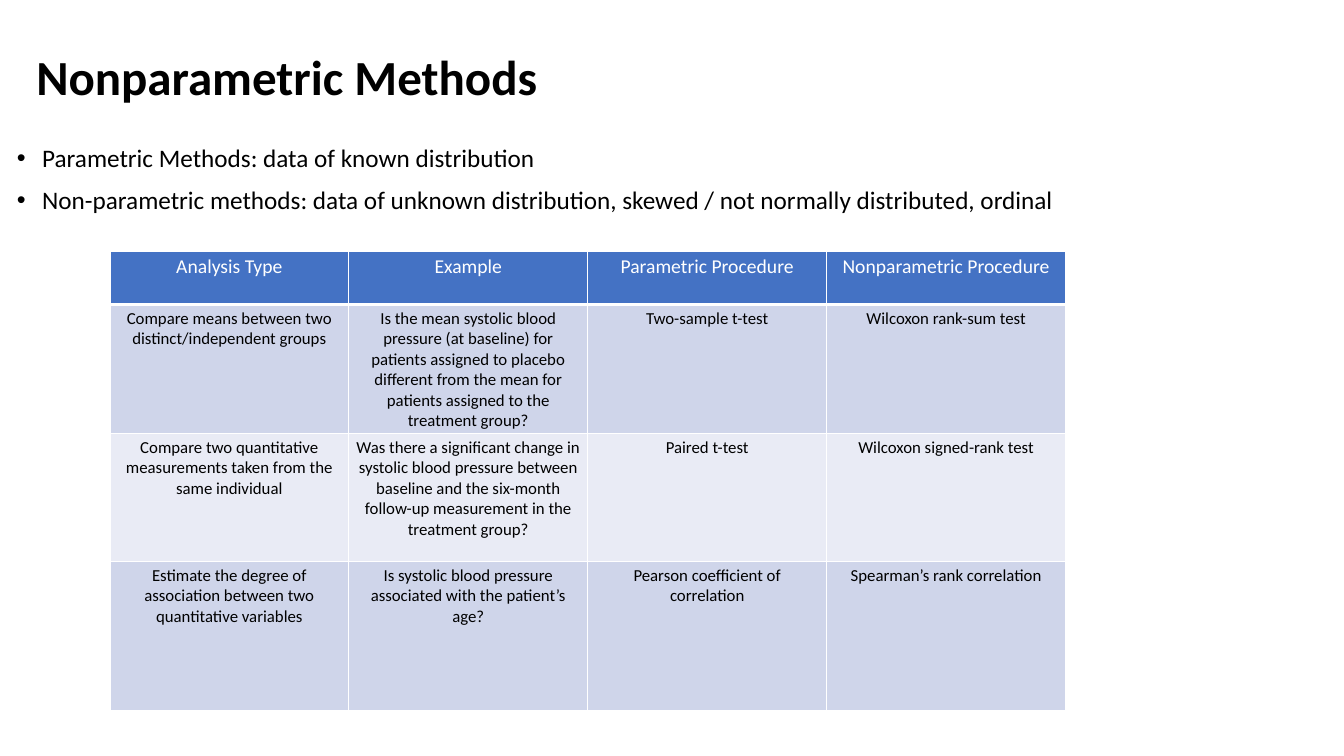
from dataclasses import dataclass

from lxml.etree import SubElement
from pptx import Presentation
from pptx.dml.color import RGBColor
from pptx.enum.text import MSO_ANCHOR, MSO_AUTO_SIZE, PP_ALIGN
from pptx.oxml.ns import qn
from pptx.util import Emu, Pt

PX = 9144  # EMU per px, 100 px to the inch
FONT = "Calibri"
COLORS = {
    "black": "000000",
    "white": "FFFFFF",
    "header": "4472C4",
    "band_dark": "CFD5EA",
    "band_light": "E9EBF5",
}


@dataclass(frozen=True)
class Row:
    height: int
    fill: str
    texts: tuple[str, str, str, str]
    size: int = 12
    color: str = "black"
    bottom_line: int = 1


TITLE = "Nonparametric Methods"
BULLETS = (
    "Parametric Methods: data of known distribution",
    "Non-parametric methods: data of unknown distribution, skewed / not normally distributed, ordinal",
)
COLUMN_WIDTH = 237
ROWS = (
    Row(53, "header",
        ("Analysis Type", "Example", "Parametric Procedure", "Nonparametric Procedure"),
        size=14, color="white", bottom_line=3),
    Row(127, "band_dark",
        ("Compare means between two distinct/independent groups",
         "Is the mean systolic blood pressure (at baseline) for patients assigned to placebo "
         "different from the mean for patients assigned to the treatment group?",
         "Two-sample t-test",
         "Wilcoxon rank-sum test")),
    Row(127, "band_light",
        ("Compare two quantitative measurements taken from the same individual",
         "Was there a significant change in systolic blood pressure between baseline and the "
         "six-month follow-up measurement in the treatment group?",
         "Paired t-test",
         "Wilcoxon signed-rank test")),
    Row(148, "band_dark",
        ("Estimate the degree of association between two quantitative variables",
         "Is systolic blood pressure associated with the patient’s age?",
         "Pearson coefficient of correlation",
         "Spearman’s rank correlation")),
)


def px(n: int) -> Emu:
    return Emu(n * PX)


def rgb(name: str) -> RGBColor:
    return RGBColor.from_string(COLORS[name])


def write(p, text: str, *, size: int, color: str = "black", bold: bool = False,
          align=PP_ALIGN.LEFT, line_spacing: float = 1.0, before: int = 0) -> None:
    p.alignment = align
    p.line_spacing = line_spacing
    p.space_before = Pt(before)
    r = p.add_run()
    r.text = text
    r.font.name = FONT
    r.font.size = Pt(size)
    r.font.bold = bold
    r.font.color.rgb = rgb(color)


def add_bullet(p, indent: int) -> None:
    pPr = p._p.get_or_add_pPr()
    pPr.set("marL", str(px(indent)))
    pPr.set("indent", str(px(-indent)))
    SubElement(pPr, qn("a:buFont"), typeface="Arial")
    SubElement(pPr, qn("a:buChar"), char="•")


def set_borders(cell, bottom: int) -> None:
    tcPr = cell._tc.get_or_add_tcPr()
    for side, width in {"L": 1, "R": 1, "T": 1, "B": bottom}.items():
        ln = SubElement(tcPr, qn(f"a:ln{side}"), w=str(Pt(width)))
        fill = SubElement(ln, qn("a:solidFill"))
        SubElement(fill, qn("a:srgbClr"), val=COLORS["white"])


def add_title(s) -> None:
    sp = s.shapes.title
    sp.left, sp.top, sp.width, sp.height = px(26), px(31), px(1150), px(97)
    tf = sp.text_frame
    tf.auto_size = MSO_AUTO_SIZE.NONE
    tf.vertical_anchor = MSO_ANCHOR.MIDDLE
    write(tf.paragraphs[0], TITLE, size=35, bold=True, line_spacing=0.9)


def add_bullets(s) -> None:
    tf = s.shapes.add_textbox(px(7), px(140), px(1150), px(597)).text_frame
    tf.word_wrap = True
    for i, text in enumerate(BULLETS):
        p = tf.add_paragraph() if i else tf.paragraphs[0]
        add_bullet(p, 25)
        write(p, text, size=18, line_spacing=0.9, before=10 if i else 0)


def add_methods_table(s) -> None:
    columns = len(ROWS[0].texts)
    height = sum(row.height for row in ROWS)
    table = s.shapes.add_table(len(ROWS), columns, px(109), px(249),
                               px(columns * COLUMN_WIDTH), px(height)).table
    for column in table.columns:
        column.width = px(COLUMN_WIDTH)
    for i, row in enumerate(ROWS):
        table.rows[i].height = px(row.height)
        for j, text in enumerate(row.texts):
            cell = table.cell(i, j)
            set_borders(cell, row.bottom_line)
            cell.fill.solid()
            cell.fill.fore_color.rgb = rgb(row.fill)
            cell.margin_left = cell.margin_right = px(7)
            cell.margin_top = cell.margin_bottom = px(4)
            write(cell.text_frame.paragraphs[0], text, size=row.size,
                  color=row.color, align=PP_ALIGN.CENTER)


def main() -> None:
    prs = Presentation()
    prs.slide_width, prs.slide_height = px(1333), px(750)
    s = prs.slides.add_slide(prs.slide_layouts.get_by_name("Title Only"))
    add_title(s)
    add_bullets(s)
    add_methods_table(s)
    prs.save("out.pptx")


if __name__ == "__main__":
    main()
